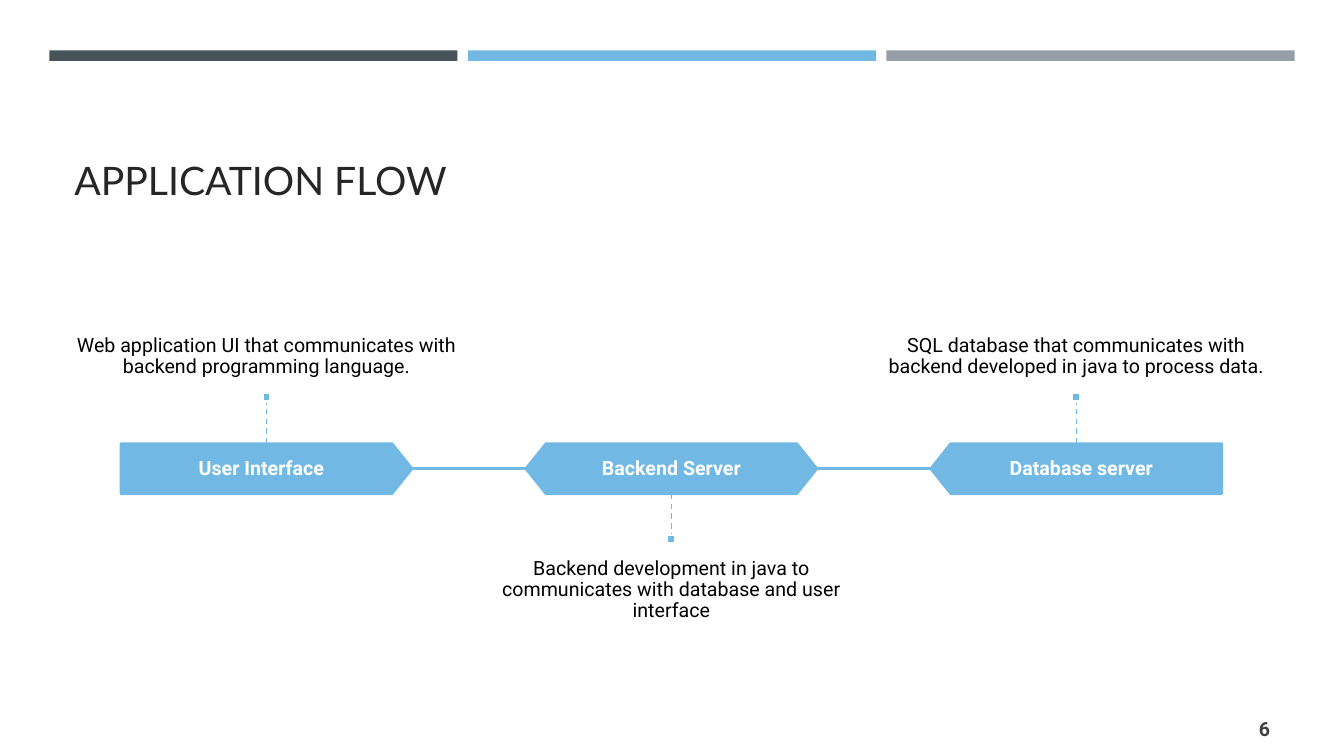
from pptx import Presentation
from pptx.dml.color import RGBColor
from pptx.enum.dml import MSO_LINE
from pptx.enum.shapes import MSO_CONNECTOR, MSO_SHAPE
from pptx.enum.text import MSO_ANCHOR, PP_ALIGN
from pptx.oxml.ns import qn
from pptx.util import Pt
from lxml.etree import SubElement

BLUE = "71B9E4"
WHITE = "FFFFFF"
STEP, WIDE, HIGH = 289.2, 208, 36
LEFT, TOP = 86.4, 316.8
MID = TOP + HIGH / 2

STAGES = [
    ("User Interface", MSO_SHAPE.PENTAGON, False, True,
     "Web application UI that communicates with backend programming language."),
    ("Backend Server", MSO_SHAPE.HEXAGON, False, False,
     "Backend development in java to communicates with database and user interface"),
    ("Database server", MSO_SHAPE.PENTAGON, True, True,
     "SQL database that communicates with backend developed in java to process data."),
]


def color(code):
    """Turn a hex string into a colour."""
    return RGBColor.from_string(code)


def write(frame, text, size, font, code, bold=False, align=PP_ALIGN.CENTER,
          anchor=MSO_ANCHOR.MIDDLE, space=None, pads=(7.2, 3.6)):
    """Write one formatted run into a text frame."""
    frame.word_wrap = True
    frame.vertical_anchor = anchor
    frame.margin_left = frame.margin_right = Pt(pads[0])
    frame.margin_top = frame.margin_bottom = Pt(pads[1])
    para = frame.paragraphs[0]
    para.alignment = align
    para.line_spacing = space
    run = para.add_run()
    run.text = text
    run.font.size = Pt(size)
    run.font.name = font
    run.font.bold = bold
    run.font.color.rgb = color(code)


def block(slide, kind, x, y, w, h, fill, edge=None):
    """Add a filled shape with an optional outline."""
    shape = slide.shapes.add_shape(kind, Pt(x), Pt(y), Pt(w), Pt(h))
    shape.shadow.inherit = False
    shape.fill.solid()
    shape.fill.fore_color.rgb = color(fill)
    if edge:
        shape.line.color.rgb = color(edge)
        shape.line.width = Pt(1.75)
    else:
        shape.line.fill.background()
    return shape


def link(slide, x1, y1, x2, y2, width, dash=None):
    """Draw a straight blue line."""
    line = slide.shapes.add_connector(
        MSO_CONNECTOR.STRAIGHT, Pt(x1), Pt(y1), Pt(x2), Pt(y2))
    line.line.color.rgb = color(BLUE)
    line.line.width = Pt(width)
    line.line.dash_style = dash
    SubElement(line._element.spPr, qn("a:effectLst"))


def label(slide, x, y, w, h, text, **style):
    """Add a text box."""
    box = slide.shapes.add_textbox(Pt(x), Pt(y), Pt(w), Pt(h))
    write(box.text_frame, text, 14, "Roboto", **style)


def stage(slide, x, name, kind, flip, above, note):
    """Draw a stage with its stem, dot and caption."""
    shape = block(slide, kind, x, TOP, WIDE, HIGH, BLUE, BLUE)
    shape.adjustments[0] = 0.4
    if flip:
        shape._element.spPr.xfrm.set("flipH", "1")
    write(shape.text_frame, name, 14, "Roboto", WHITE, bold=True,
          space=0.9, pads=(0, 0))
    mid = x + WIDE / 2
    if above:
        edge, tip, dot, top = TOP, TOP - 30, TOP - 36, 184.3
        anchor = MSO_ANCHOR.BOTTOM
    else:
        edge, tip, dot, top = TOP + HIGH, TOP + HIGH + 30, TOP + HIGH + 29.5, 388.8
        anchor = MSO_ANCHOR.TOP
    link(slide, mid, edge, mid, tip, 1, MSO_LINE.DASH)
    block(slide, MSO_SHAPE.RECTANGLE, mid - 3, dot, 6, 6, BLUE, WHITE)
    label(slide, mid - STEP / 2, top, STEP, 95.8, note, code="000000",
          anchor=anchor, space=0.9, pads=(0, 10))


def main():
    """Build the slide."""
    deck = Presentation()
    deck.slide_width, deck.slide_height = Pt(960), Pt(540)
    slide = deck.slides.add_slide(deck.slide_layouts[5])
    for i, fill in enumerate(("465359", BLUE, "969FA7")):
        block(slide, MSO_SHAPE.RECTANGLE, 35.2 + i * 299, 36, 291.6, 7.5, fill)
    title = slide.shapes.title
    title.left, title.top = Pt(46), Pt(55.4)
    title.width, title.height = Pt(868), Pt(93.6)
    write(title.text_frame, "APPLICATION FLOW", 28, "Lato", "262626",
          align=PP_ALIGN.LEFT, anchor=MSO_ANCHOR.BOTTOM)
    for i, parts in enumerate(STAGES):
        x = LEFT + i * STEP
        if i:
            link(slide, x - STEP + WIDE, MID, x, MID, 1.75)
        stage(slide, x, *parts)
    label(slide, 831.6, 506, 82.8, 28.8, "6", code="404040", bold=True,
          align=PP_ALIGN.RIGHT)
    deck.save("out.pptx")


if __name__ == "__main__":
    main()
